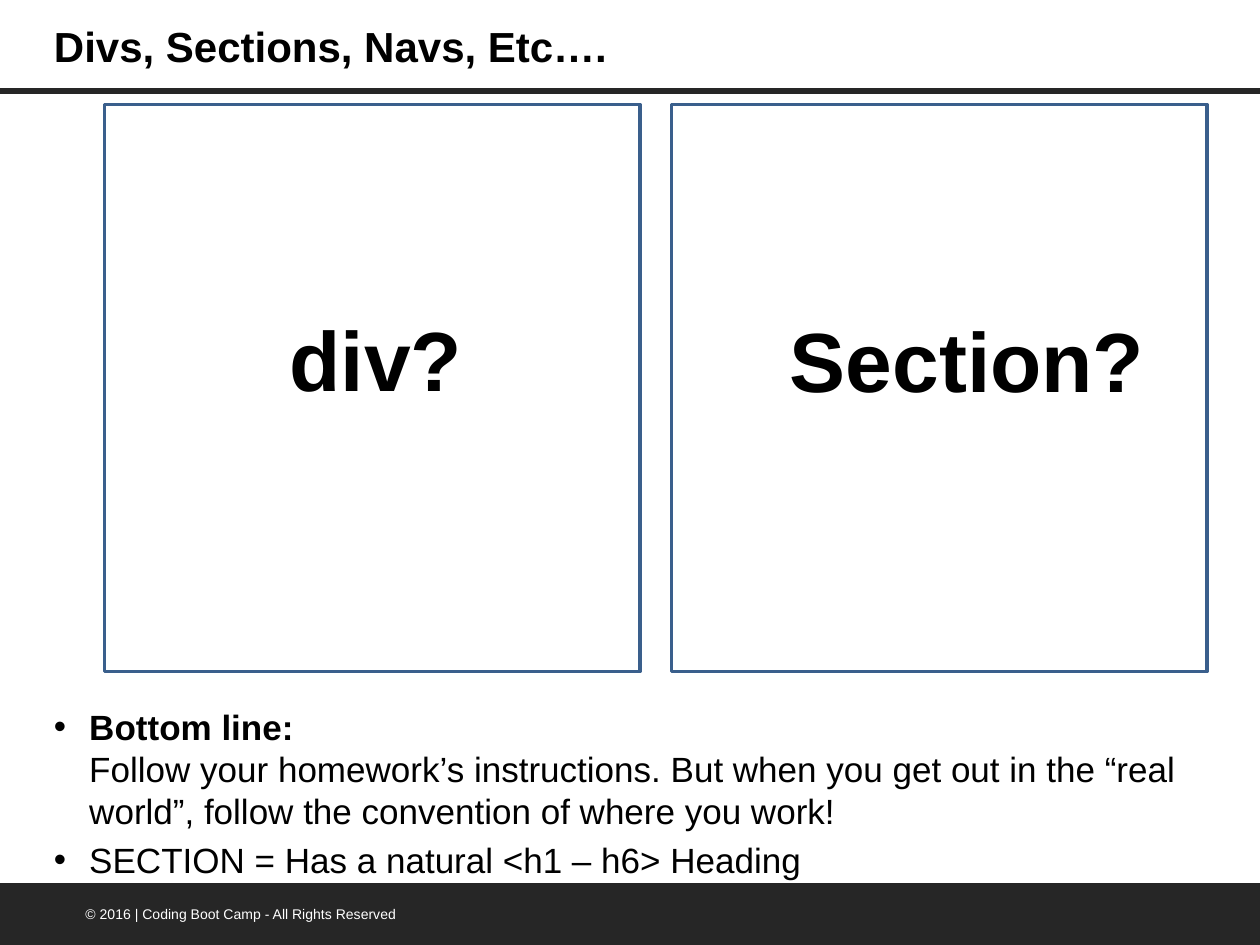
from dataclasses import dataclass

from lxml.etree import SubElement
from pptx import Presentation
from pptx.dml.color import RGBColor as RGB
from pptx.enum.shapes import MSO_CONNECTOR as Connector, MSO_SHAPE as Shape
from pptx.oxml.ns import qn
from pptx.util import Inches, Pt

# Content
TITLE = "Divs, Sections, Navs, Etc…."
CHOICES = [("div?", (2.2, 2.39, 1.59, 0.91)), ("Section?", (6.17, 2.4, 3.05, 0.91))]
# Each point: bold lead line (may be empty), then plain text
POINTS = [
    ("Bottom line: ", "Follow your homework’s instructions. But when you get out in "
                      "the “real world”, follow the convention of where you work!"),
    ("", "SECTION = Has a natural <h1 – h6> Heading"),
]
COPYRIGHT = "© 2016 | Coding Boot Camp - All Rights Reserved"


@dataclass(frozen=True)
class Theme:
    font: str = "Arial"
    ink: RGB = RGB(0, 0, 0)
    dark: RGB = RGB(0x26, 0x26, 0x26)
    light: RGB = RGB(255, 255, 255)
    frame: RGB = RGB(0x3A, 0x5F, 0x8C)
    title: int = 24
    choice: int = 48
    body: int = 20
    footer: int = 8


THEME = Theme()

# Layout grid, in inches
WIDTH, HEIGHT = 10, 7.5
MARGIN = 0.33
RULE_Y = 0.72
FOOTER_H = 0.5
FRAME_LEFT, FRAME_TOP, FRAME_W, FRAME_H, FRAME_GAP = 0.83, 0.83, 4.25, 4.5, 0.25
BULLET_INDENT = 0.28


def set_font(paragraph, size, color, bold=None):
    font = paragraph.font
    font.name, font.size, font.bold = THEME.font, Pt(size), bold
    font.color.rgb = color


def add_box(slide, place, wrap=True):
    frame = slide.shapes.add_textbox(*map(Inches, place)).text_frame
    frame.word_wrap = wrap
    return frame


def add_label(slide, place, text, size, color, bold=None, wrap=True):
    paragraph = add_box(slide, place, wrap).paragraphs[0]
    paragraph.text = text
    set_font(paragraph, size, color, bold)


def add_bullet(paragraph):
    props = paragraph._p.get_or_add_pPr()
    props.set("marL", str(Inches(BULLET_INDENT)))
    props.set("indent", str(-Inches(BULLET_INDENT)))
    SubElement(props, qn("a:buFont")).set("typeface", THEME.font)
    SubElement(props, qn("a:buChar")).set("char", "•")


def add_points(slide, place):
    frame = add_box(slide, place)
    frame.margin_top = frame.margin_bottom = Inches(0.1)
    for i, (lead, text) in enumerate(POINTS):
        paragraph = frame.add_paragraph() if i else frame.paragraphs[0]
        add_bullet(paragraph)
        if i:
            paragraph.space_before = Pt(THEME.body * 0.2)
        set_font(paragraph, THEME.body, THEME.ink)
        if lead:
            lead_run = paragraph.add_run()
            lead_run.text, lead_run.font.bold = lead, True
            paragraph.add_line_break()
        paragraph.add_run().text = text


def main():
    deck = Presentation()
    deck.slide_width, deck.slide_height = Inches(WIDTH), Inches(HEIGHT)
    slide = deck.slides.add_slide(deck.slide_layouts[6])

    # Rule under the title
    rule = slide.shapes.add_connector(
        Connector.STRAIGHT, 0, Inches(RULE_Y), Inches(WIDTH), Inches(RULE_Y))
    rule.line.color.rgb, rule.line.width = THEME.dark, Pt(3.25)
    SubElement(rule._element.spPr, qn("a:effectLst"))

    # Footer band
    band = slide.shapes.add_shape(
        Shape.FLOWCHART_PROCESS, 0, Inches(HEIGHT - FOOTER_H + 0.01),
        Inches(WIDTH), Inches(FOOTER_H))
    band.shadow.inherit = False
    band.fill.solid()
    band.fill.fore_color.rgb = THEME.dark
    band.line.fill.background()
    add_label(slide, (0.58, 7.14, 3.05, 0.24), COPYRIGHT, THEME.footer, THEME.light)

    # Title and closing points
    add_label(slide, (MARGIN, 0.11, 6.25, 0.5), TITLE, THEME.title, THEME.ink, True)
    add_points(slide, (MARGIN, 5.5, 9.55, 1.33))

    # Two framed choices side by side
    for column, (choice, place) in enumerate(CHOICES):
        left = FRAME_LEFT + column * (FRAME_W + FRAME_GAP)
        frame = slide.shapes.add_shape(
            Shape.RECTANGLE, *map(Inches, (left, FRAME_TOP, FRAME_W, FRAME_H)))
        frame.shadow.inherit = False
        frame.fill.background()
        frame.line.color.rgb, frame.line.width = THEME.frame, Pt(2)
        add_label(slide, place, choice, THEME.choice, THEME.ink, True, wrap=False)

    deck.save("out.pptx")


if __name__ == "__main__":
    main()
